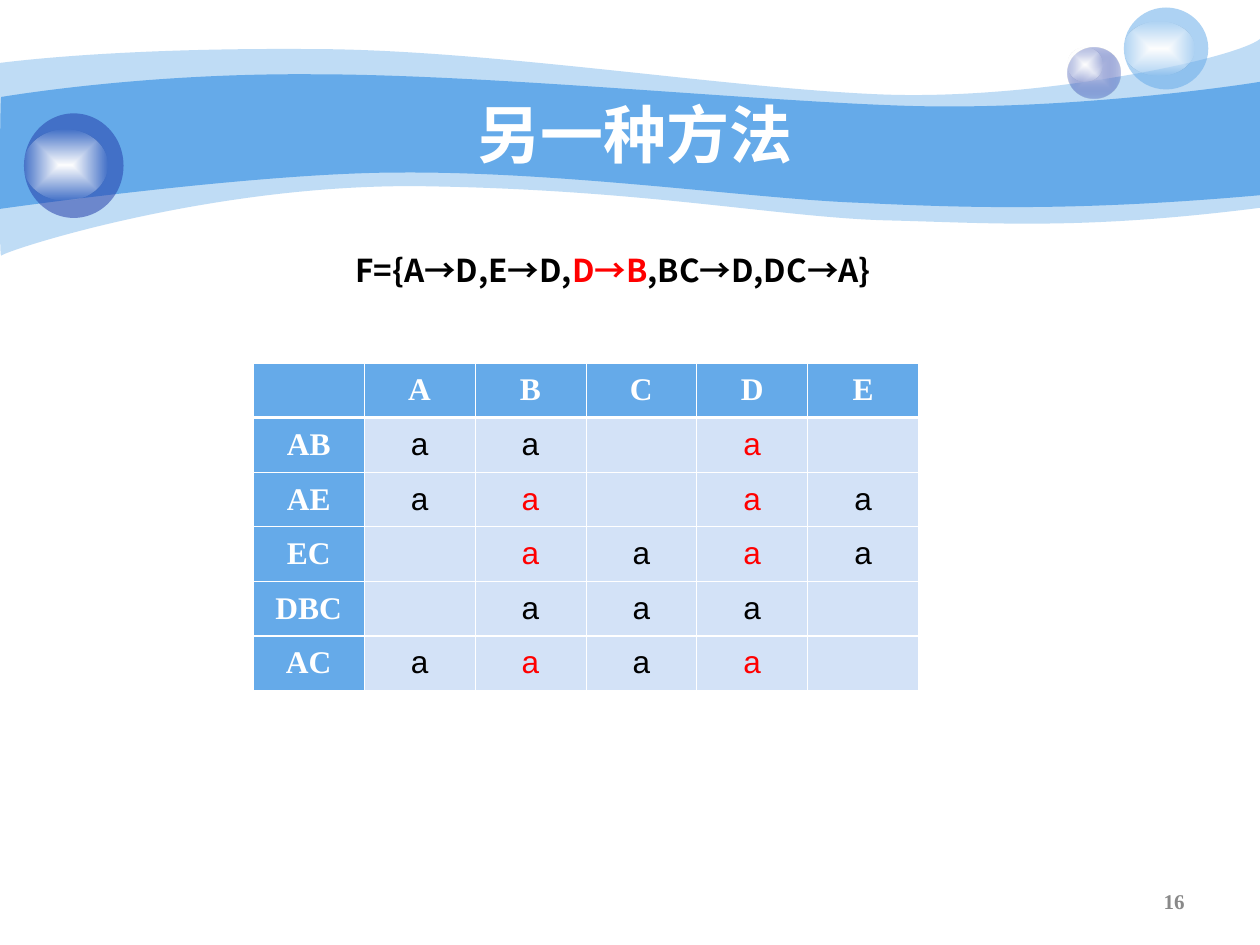
"""Build the slide on another way to test a lossless join decomposition."""
from lxml import etree
from pptx import Presentation
from pptx.dml.color import RGBColor
from pptx.enum.shapes import MSO_SHAPE
from pptx.enum.text import MSO_ANCHOR, MSO_AUTO_SIZE, PP_ALIGN
from pptx.oxml.ns import qn
from pptx.util import Inches, Pt

OVAL = MSO_SHAPE.OVAL
TOP, MIDDLE = MSO_ANCHOR.TOP, MSO_ANCHOR.MIDDLE
LEFT, CENTER, RIGHT = PP_ALIGN.LEFT, PP_ALIGN.CENTER, PP_ALIGN.RIGHT
FIXED_SIZE = MSO_AUTO_SIZE.NONE

SKY = RGBColor(0x65, 0xAA, 0xE9)
NAVY = RGBColor(0x23, 0x3D, 0xA9)
LAVENDER = RGBColor(0xC7, 0xCE, 0xE9)
PALE = RGBColor(0xD3, 0xE2, 0xF7)
WHITE = RGBColor(0xFF, 0xFF, 0xFF)
BLACK = RGBColor(0, 0, 0)
RED = RGBColor(0xFF, 0, 0)
GRAY = RGBColor(0x89, 0x89, 0x89)

SANS, SERIF, CJK = "Arial", "Times New Roman", "Noto Sans CJK SC"

TITLE = "另一种方法"
PAGE_NUMBER = "16"
FORMULA = [("F={A→D,E→D,", BLACK), ("D→B", RED), (",BC→D,DC→A}", BLACK)]

ATTRIBUTES = "ABCDE"
RELATIONS = ["AB", "AE", "EC", "DBC", "AC"]
DERIVED = {"AB": "D", "AE": "BD", "EC": "BD", "DBC": "", "AC": "BD"}

WAVES = [
    ([[(0, 0.5)],
      [(0.24, 0.47), (1.07, 0.38), (2.47, 0.39)],
      [(3.86, 0.39), (5.75, 0.7), (6.99, 0.75)],
      [(8.22, 0.8), (9.8, 0.47), (10, 0.31)],
      [(10, 1.65)],
      [(8.58, 1.83), (7.87, 1.77), (7.05, 1.75)],
      [(6.22, 1.73), (5.15, 1.51), (3.43, 1.48)],
      [(1.72, 1.44), (0.04, 1.99), (0.01, 2.03)],
      [(-0.01, 2.08), (0, 0.75), (0, 0.5)]], [(SKY, 41)]),
    ([[(0.01, 0.77)],
      [(0.02, 0.77), (1.1, 0.58), (2.48, 0.59)],
      [(3.86, 0.59), (5.95, 0.8), (7.18, 0.84)],
      [(8.41, 0.88), (9.76, 0.69), (10, 0.65)],
      [(10, 1.55)],
      [(8.53, 1.68), (7.65, 1.65), (6.82, 1.61)],
      [(5.99, 1.58), (4.47, 1.36), (3.17, 1.37)],
      [(2.03, 1.37), (-0.02, 1.66), (-0.01, 1.66)],
      [(0, 1.66), (0, 0.77), (0.01, 0.77)]], [(SKY, 100)]),
]
GLOW = [(WHITE, 100), (WHITE, 0)]
BUBBLES = [
    ((8.47, 0.38, 0.42, 0.4), [(LAVENDER, 100), (NAVY, 31)]),
    ((8.47, 0.38, 0.28, 0.27), GLOW),
    ((8.92, 0.06, 0.67, 0.65), [(SKY, 53)]),
    ((8.92, 0.17, 0.56, 0.43), GLOW),
    ((0.19, 0.9, 0.79, 0.83), [(NAVY, 53)]),
    ((0.19, 1.03, 0.66, 0.56), GLOW),
]
THIN, THICK = Pt(0.45), Pt(1.47)
THICK_BELOW = (0, 4)


def add_color(parent, color, alpha=100):
    node = etree.SubElement(parent, qn("a:srgbClr"), val=str(color))
    if alpha < 100:
        etree.SubElement(node, qn("a:alpha"), val=str(alpha * 1000))


def paint(shape, stops):
    shape.shadow.inherit = False
    shape.line.fill.background()
    shape.fill.solid()
    solid = shape.element.spPr.find(qn("a:solidFill"))
    if len(stops) == 1:
        add_color(solid, *stops[0])
        return
    gradient = etree.Element(qn("a:gradFill"), rotWithShape="1")
    stop_list = etree.SubElement(gradient, qn("a:gsLst"))
    for position, stop in zip(("0", "100000"), stops):
        add_color(etree.SubElement(stop_list, qn("a:gs"), pos=position), *stop)
    route = etree.SubElement(gradient, qn("a:path"), path="rect")
    etree.SubElement(route, qn("a:fillToRect"), l="50000", t="50000", r="50000", b="50000")
    solid.getparent().replace(solid, gradient)


def add_wave(slide, segments, stops):
    corners = [(Inches(x), Inches(y)) for segment in segments for x, y in segment]
    builder = slide.shapes.build_freeform(*corners[0])
    builder.add_line_segments(corners[1:], close=True)
    wave = builder.convert_to_shape()
    lines = iter(list(wave.element.iter(qn("a:lnTo"))))
    for segment in segments[1:]:
        steps = [next(lines) for _ in segment]
        if len(steps) == 3:
            curve = etree.Element(qn("a:cubicBezTo"))
            steps[0].addprevious(curve)
            for step in steps:
                curve.append(step[0])
                step.getparent().remove(step)
    paint(wave, stops)


def write(frame, spans, name, size, align, bold=True):
    para = frame.paragraphs[0]
    para.alignment = align
    para.font.name, para.font.size, para.font.bold = name, Pt(size), bold
    if len(spans) == 1:
        para.font.color.rgb = spans[0][1]
    for text, color in spans:
        span = para.add_run()
        span.text = text
        if len(spans) > 1:
            span.font.color.rgb = color


def add_text(slide, place, spans, name, size, align, anchor):
    frame = slide.shapes.add_textbox(*map(Inches, place)).text_frame
    frame.word_wrap = True
    frame.vertical_anchor = anchor
    write(frame, spans, name, size, align)


def set_borders(cell, row):
    top = THICK if row - 1 in THICK_BELOW else THIN
    bottom = THICK if row in THICK_BELOW else THIN
    properties = cell._tc.get_or_add_tcPr()
    sides = (("a:lnL", THIN), ("a:lnR", THIN), ("a:lnT", top), ("a:lnB", bottom))
    for index, (side, width) in enumerate(sides):
        line = etree.Element(qn(side), w=str(int(width)))
        add_color(etree.SubElement(line, qn("a:solidFill")), WHITE)
        properties.insert(index, line)


def tableau_rows():
    yield [(label, WHITE) for label in ("", *ATTRIBUTES)]
    for relation in RELATIONS:
        marks = [("a", RED) if attribute in DERIVED[relation]
                 else ("a" if attribute in relation else "", BLACK)
                 for attribute in ATTRIBUTES]
        yield [(relation, WHITE), *marks]


def add_tableau(slide):
    place = map(Inches, (2.01, 2.88, 5.28, 2.6))
    frame = slide.shapes.add_table(len(RELATIONS) + 1, len(ATTRIBUTES) + 1, *place)
    table = frame.table
    table.first_row = table.horz_banding = False
    for row, contents in enumerate(tableau_rows()):
        for column, (text, color) in enumerate(contents):
            cell = table.cell(row, column)
            heading = row == 0 or column == 0
            cell.fill.solid()
            cell.fill.fore_color.rgb = SKY if heading else PALE
            cell.vertical_anchor = MIDDLE
            cell.margin_left = cell.margin_right = Inches(0.07)
            set_borders(cell, row)
            if text:
                write(cell.text_frame, [(text, color)], SERIF if heading else SANS,
                      18, CENTER, heading)


def add_title(slide):
    title = slide.shapes.title
    title.left, title.top, title.width, title.height = map(Inches, (1, 0.75, 8.08, 0.62))
    title.text_frame.auto_size = FIXED_SIZE
    title.text_frame.vertical_anchor = MIDDLE
    write(title.text_frame, [(TITLE, WHITE)], SANS, 36, CENTER)
    title.element.getparent().append(title.element)


def main():
    deck = Presentation()
    deck.slide_width, deck.slide_height = Inches(10), Inches(7.5)
    slide = deck.slides.add_slide(deck.slide_layouts[5])
    for segments, stops in WAVES:
        add_wave(slide, segments, stops)
    for place, stops in BUBBLES:
        paint(slide.shapes.add_shape(OVAL, *map(Inches, place)), stops)
    add_title(slide)
    add_text(slide, (7.17, 6.95, 2.33, 0.4), [(PAGE_NUMBER, GRAY)], SERIF, 12, RIGHT, MIDDLE)
    add_tableau(slide)
    add_text(slide, (2.72, 1.94, 4.41, 0.4), FORMULA, CJK, 18, LEFT, TOP)
    deck.save("out.pptx")


if __name__ == "__main__":
    main()
